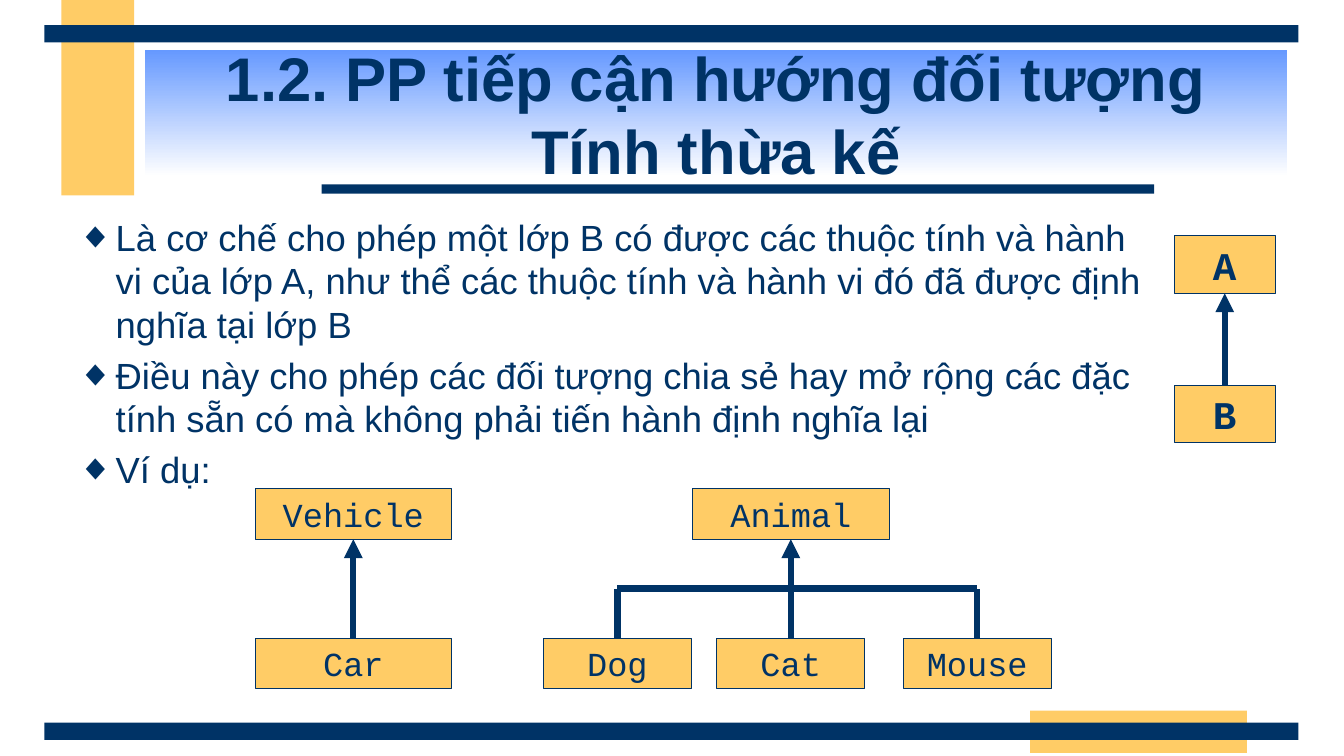
"""Build the slide on inheritance in the object-oriented approach."""
from typing import NamedTuple, Optional

from lxml import etree
from pptx import Presentation
from pptx.dml.color import RGBColor
from pptx.enum.shapes import MSO_CONNECTOR, MSO_SHAPE
from pptx.enum.text import MSO_ANCHOR, MSO_AUTO_SIZE, PP_ALIGN
from pptx.oxml.ns import qn
from pptx.shapes.autoshape import Shape
from pptx.shapes.connector import Connector
from pptx.slide import Slide
from pptx.text.text import TextFrame
from pptx.util import Inches, Pt

NAVY = RGBColor(0x00, 0x33, 0x66)
AMBER = RGBColor(0xFF, 0xCC, 0x66)
SKY = RGBColor(0x66, 0x99, 0xFF)
WHITE = RGBColor(0xFF, 0xFF, 0xFF)
RECTANGLE = MSO_SHAPE.RECTANGLE
STRAIGHT = MSO_CONNECTOR.STRAIGHT
CENTER = PP_ALIGN.CENTER
LEFT = PP_ALIGN.LEFT
MIDDLE = MSO_ANCHOR.MIDDLE
NO_AUTOFIT = MSO_AUTO_SIZE.NONE
TITLE_ONLY = 5
TOP, BOTTOM = 0, 2
CELL = Inches(0.1)
COLUMNS, ROWS = 133.33, 75
BUS_ROW = 58.4


class Area(NamedTuple):
    """Place and size in columns and rows of the grid."""
    column: float
    row: float
    columns: float
    rows: float

    def lengths(self) -> list[int]:
        """Return left, top, width and height."""
        return [cells(value) for value in self]


class Band(NamedTuple):
    """A plain decorative rectangle."""
    area: Area
    color: RGBColor


class ClassBox(NamedTuple):
    """A named class in an inheritance diagram."""
    name: str
    area: Area
    size: int = 24
    bold: bool = False
    parent: Optional[str] = None


BANDS = [
    Band(Area(6.1, 0, 7.2, 19.4), AMBER),
    Band(Area(102.2, 70.5, 21.5, 4.2), AMBER),
    Band(Area(31.9, 18.3, 82.6, 0.9), NAVY),
    Band(Area(4.4, 71.7, 124.4, 1.7), NAVY),
    Band(Area(4.4, 2.5, 124.4, 1.7), NAVY),
]
TITLE = "1.2. PP tiếp cận hướng đối tượng\vTính thừa kế"
TITLE_AREA = Area(14.4, 5, 113.3, 12.5)
BODY_AREA = Area(6.7, 20.8, 107.7, 49.2)
POINTS = [
    "Là cơ chế cho phép một lớp B có được các thuộc tính và hành vi của lớp A, "
    "như thể các thuộc tính và hành vi đó đã được định nghĩa tại lớp B",
    "Điều này cho phép các đối tượng chia sẻ hay mở rộng các đặc tính sẵn có "
    "mà không phải tiến hành định nghĩa lại",
    "Ví dụ:",
]
CLASSES = [
    ClassBox("A", Area(116.5, 23.4, 10, 5.7), 28, True),
    ClassBox("B", Area(116.5, 38.2, 10, 5.7), 28, True, "A"),
    ClassBox("Vehicle", Area(25.3, 48.5, 19.5, 5)),
    ClassBox("Car", Area(25.3, 63.3, 19.5, 5), parent="Vehicle"),
    ClassBox("Animal", Area(68.7, 48.5, 19.5, 5)),
    ClassBox("Dog", Area(53.9, 63.3, 14.7, 5)),
    ClassBox("Cat", Area(71.1, 63.3, 14.7, 5), parent="Animal"),
    ClassBox("Mouse", Area(89.6, 63.3, 14.7, 5)),
]
BUS_ENDS = ("Dog", "Mouse")


def cells(count: float) -> int:
    """Turn a number of grid cells into a length."""
    return round(count * CELL)


def style_text(frame: TextFrame, font: str, size: int, bold: bool = False,
               align: PP_ALIGN = CENTER) -> None:
    """Format every run of a text frame."""
    for para in frame.paragraphs:
        para.alignment = align
        for span in para.runs:
            span.font.name = font
            span.font.size = Pt(size)
            span.font.bold = bold
            span.font.color.rgb = NAVY


def add_rectangle(page: Slide, area: Area, color: RGBColor) -> Shape:
    """Add a filled rectangle without outline or shadow."""
    box = page.shapes.add_shape(RECTANGLE, *area.lengths())
    box.shadow.inherit = False
    box.fill.solid()
    box.fill.fore_color.rgb = color
    box.line.fill.background()
    return box


def add_title(page: Slide) -> None:
    """Fill and place the title with its gradient."""
    title = page.shapes.title
    title.left, title.top, title.width, title.height = TITLE_AREA.lengths()
    title.fill.gradient()
    title.fill.gradient_angle = 270
    for stop, color in zip(title.fill.gradient_stops, (SKY, WHITE)):
        stop.color.rgb = color
    frame = title.text_frame
    frame.text = TITLE
    frame.auto_size = NO_AUTOFIT
    frame.vertical_anchor = MIDDLE
    style_text(frame, "Arial", 44, True)


def add_points(page: Slide) -> None:
    """Add the bulleted explanation."""
    frame = page.shapes.add_textbox(*BODY_AREA.lengths()).text_frame
    frame.word_wrap = True
    frame.text = "\n".join(POINTS)
    style_text(frame, "Arial", 26, align=LEFT)
    for para in frame.paragraphs:
        para.space_before = Pt(5.2)
        properties = para._p.get_or_add_pPr()
        properties.set("marL", str(cells(3.8)))
        properties.set("indent", str(-cells(3.8)))
        bullet_color = etree.SubElement(properties, qn("a:buClr"))
        etree.SubElement(bullet_color, qn("a:srgbClr"), val=str(NAVY))
        etree.SubElement(properties, qn("a:buFont"), typeface="Arial")
        etree.SubElement(properties, qn("a:buChar"), char="◆")


def add_class(page: Slide, item: ClassBox) -> Shape:
    """Add an outlined class box with its name."""
    box = add_rectangle(page, item.area, AMBER)
    box.line.color.rgb = NAVY
    box.line.width = Pt(0.75)
    frame = box.text_frame
    frame.text = item.name
    frame.vertical_anchor = MIDDLE
    style_text(frame, "Courier New", item.size, item.bold)
    return box


def add_line(page: Slide, start: tuple[int, int], end: tuple[int, int]) -> Connector:
    """Add a thick straight line."""
    line = page.shapes.add_connector(STRAIGHT, *start, *end)
    line.line.color.rgb = NAVY
    line.line.width = Pt(4.5)
    etree.SubElement(line._element.spPr, qn("a:effectLst"))
    return line


def add_arrow(page: Slide, child: Shape, parent: Shape) -> None:
    """Point an arrow from a child class to its parent."""
    arrow = add_line(page, (0, 0), (0, 0))
    arrow.begin_connect(child, TOP)
    arrow.end_connect(parent, BOTTOM)
    etree.SubElement(arrow.line._get_or_add_ln(), qn("a:tailEnd"), type="triangle")


def add_bus(page: Slide, children: list[Shape]) -> None:
    """Join the outer children by a shared horizontal line."""
    joints = [(box.left + box.width // 2, cells(BUS_ROW)) for box in children]
    for box, joint in zip(children, joints):
        add_line(page, (joint[0], box.top), joint).begin_connect(box, TOP)
    add_line(page, *joints)


def main() -> None:
    """Build and save the deck."""
    deck = Presentation()
    deck.slide_width, deck.slide_height = cells(COLUMNS), cells(ROWS)
    page = deck.slides.add_slide(deck.slide_layouts[TITLE_ONLY])
    for band in BANDS:
        add_rectangle(page, band.area, band.color)
    add_points(page)
    add_title(page)
    boxes = {item.name: add_class(page, item) for item in CLASSES}
    for item in CLASSES:
        if item.parent:
            add_arrow(page, boxes[item.name], boxes[item.parent])
    add_bus(page, [boxes[name] for name in BUS_ENDS])
    deck.save("out.pptx")


if __name__ == "__main__":
    main()
